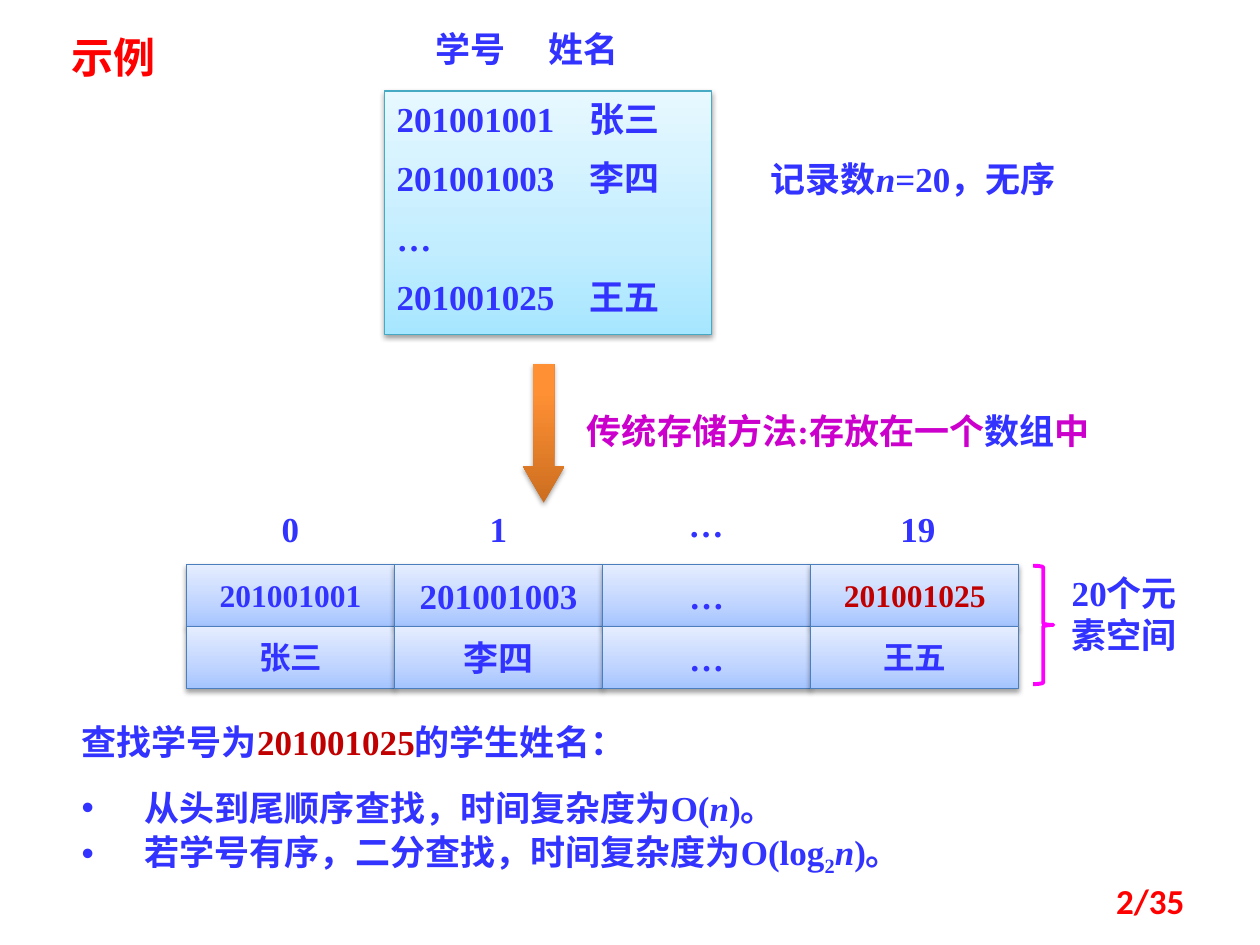
from lxml.etree import SubElement
from pptx import Presentation
from pptx.dml.color import RGBColor
from pptx.enum.shapes import MSO_SHAPE as Shape
from pptx.enum.text import MSO_ANCHOR as Anchor, PP_ALIGN as Align
from pptx.oxml import parse_xml
from pptx.oxml.ns import nsdecls, qn
from pptx.util import Pt

BLUE = RGBColor(0x33, 0x33, 0xFF)
RED = RGBColor(0xFF, 0x00, 0x00)
DARK_RED = RGBColor(0xC0, 0x00, 0x00)
PURPLE = RGBColor(0xCC, 0x00, 0xCC)
MAGENTA = RGBColor(0xFF, 0x00, 0xFF)
TEAL_LINE = RGBColor(0x46, 0xAA, 0xC5)
CELL_LINE = RGBColor(0x4B, 0x7E, 0xBC)


def stops(*pairs):
    return [(place, RGBColor.from_string(code)) for place, code in pairs]


RECORD_FILL = stops((0, "A7E6FF"), (35, "C1EDFF"), (100, "E7F8FF"))
CELL_FILL = stops((0, "A4C4FF"), (35, "BFD4FF"), (100, "E6EEFF"))
ARROW_FILL = stops((0, "CC6E20"), (80, "FF9034"), (100, "FF9136"))
SERIF = "Times New Roman"
HAN = "Noto Sans CJK SC"


def add_span(para, text, color=BLUE, size=20, font=SERIF, italic=False, base=None):
    span = para.add_run()
    span.text = text
    span.font.name = font
    span.font.size = Pt(size)
    span.font.bold = True
    span.font.italic = italic
    span.font.color.rgb = color
    props = span.font._element
    SubElement(props, qn("a:ea")).set("typeface", HAN)
    if base:
        props.set("baseline", str(base * 1000))


def write(shape, paras, align=Align.LEFT, anchor=Anchor.TOP, before=0):
    frame = shape.text_frame
    frame.word_wrap = True
    frame.vertical_anchor = anchor
    for index, spans in enumerate(paras):
        para = frame.paragraphs[0] if index == 0 else frame.add_paragraph()
        para.alignment = align
        if index:
            para.space_before = Pt(before)
        for text, style in spans:
            add_span(para, text, **style)


def add_text(page, place, paras, **layout):
    box = page.shapes.add_textbox(*map(Pt, place))
    write(box, paras, **layout)
    return box


def add_glossy_shape(page, kind, place, gradient, line=None):
    shape = page.shapes.add_shape(kind, *map(Pt, place))
    if line is None:
        shape.line.fill.background()
    else:
        shape.line.color.rgb = line
        shape.line.width = Pt(0.75)
    points = "".join(
        f'<a:gs pos="{at * 1000}"><a:srgbClr val="{color}"/></a:gs>'
        for at, color in gradient
    )
    props = shape._element.spPr
    props.find(qn("a:prstGeom")).addnext(parse_xml(
        f'<a:gradFill {nsdecls("a")} rotWithShape="1"><a:gsLst>{points}</a:gsLst>'
        '<a:lin ang="16200000" scaled="0"/></a:gradFill>'
    ))
    props.append(parse_xml(
        f'<a:effectLst {nsdecls("a")}><a:outerShdw blurRad="{Pt(3.1)}" '
        f'dist="{Pt(1.6)}" dir="5400000" rotWithShape="0"><a:srgbClr val="000000">'
        '<a:alpha val="38000"/></a:srgbClr></a:outerShdw></a:effectLst>'
    ))
    return shape


def add_title(page):
    title = page.shapes.title
    title.left, title.top, title.width, title.height = map(Pt, (33.8, 14.4, 84.2, 36))
    write(title, [[("示例", {"color": RED, "size": 24, "font": HAN})]])


def add_records(page):
    add_text(page, (241.9, 12.2, 153.4, 31.7), [[("学号　 姓名", {"font": HAN})]])
    records = add_glossy_shape(
        page, Shape.RECTANGLE, (219.6, 52, 187.2, 139), RECORD_FILL, TEAL_LINE)
    lines = ["201001001　张三", "201001003　李四", "…", "201001025　王五"]
    write(records, [[(line, {})] for line in lines], before=10)
    add_text(page, (433.4, 86.4, 198.7, 31), [[
        ("记录数", {"font": HAN}), ("n", {"italic": True}),
        ("=20，", {}), ("无序", {"font": HAN}),
    ]])


def add_storage_step(page):
    add_text(page, (328.3, 230.4, 306, 31.7), [[
        ("传统存储方法:存放在一个", {"color": PURPLE}),
        ("数组", {}), ("中", {"color": PURPLE}),
    ]])
    arrow = add_glossy_shape(
        page, Shape.DOWN_ARROW, (298.8, 208.1, 23.8, 79.2), ARROW_FILL)
    arrow.adjustments[0] = 0.5
    arrow.adjustments[1] = 0.877


def add_array(page):
    left, top, width, height = 106.56, 322.5, 118.9, 35.4
    columns = [
        ("201001001", "张三", 18, BLUE),
        ("201001003", "李四", 20, BLUE),
        ("…", "…", 20, BLUE),
        ("201001025", "王五", 18, DARK_RED),
    ]
    for column, (number, name, size, color) in enumerate(columns):
        for row, (text, shade) in enumerate([(number, color), (name, BLUE)]):
            place = (left + column * width, top + row * height, width, height)
            cell = add_glossy_shape(page, Shape.RECTANGLE, place, CELL_FILL, CELL_LINE)
            write(cell, [[(text, {"size": size, "color": shade})]],
                  align=Align.CENTER, anchor=Anchor.MIDDLE)
    indexes = [("0", 166, 286.6), ("1", 284.8, 286.6),
               ("…", 403.5, 283.7), ("19", 524.5, 286.6)]
    for text, center, y in indexes:
        add_text(page, (center - 35, y, 70, 31.7), [[(text, {})]], align=Align.CENTER)


def add_capacity(page):
    brace = page.shapes.add_shape(
        Shape.RIGHT_BRACE, *map(Pt, (590.4, 323.3, 11.5, 67.7)))
    brace.shadow.inherit = False
    brace.fill.background()
    brace.line.color.rgb = MAGENTA
    brace.line.width = Pt(2.25)
    add_text(page, (604, 323.3, 77, 55.4), [[("20个元素空间", {})]], align=Align.CENTER)


def add_search_notes(page):
    add_text(page, (39.6, 408.2, 618.5, 31.7), [[
        ("查找学号为", {}), ("201001025", {"color": DARK_RED}), ("的学生姓名：", {}),
    ]])
    variable = ("n", {"italic": True})
    notes = add_text(page, (39.6, 442.1, 596.2, 64), [
        [("从头到尾顺序查找，时间复杂度为O(", {}), variable, (")。", {})],
        [("若学号有序，二分查找，时间复杂度为O(log", {}), ("2", {"base": -25}),
         variable, (")。", {})],
    ])
    for para in notes.text_frame.paragraphs:
        props = para._p.get_or_add_pPr()
        props.set("marL", str(Pt(36)))
        props.set("indent", str(-Pt(36)))
        SubElement(props, qn("a:buFont")).set("typeface", "Arial")
        SubElement(props, qn("a:buChar")).set("char", "•")
        para.line_spacing = Pt(28)


def main():
    deck = Presentation()
    deck.slide_width, deck.slide_height = Pt(720), Pt(540)
    page = deck.slides.add_slide(deck.slide_layouts[5])
    add_title(page)
    add_records(page)
    add_storage_step(page)
    add_array(page)
    add_capacity(page)
    add_search_notes(page)
    add_text(page, (516.2, 500.4, 167.8, 28.8),
             [[("2/35", {"color": RED, "font": "Calibri"})]],
             align=Align.RIGHT, anchor=Anchor.MIDDLE)
    deck.save("out.pptx")


if __name__ == "__main__":
    main()
